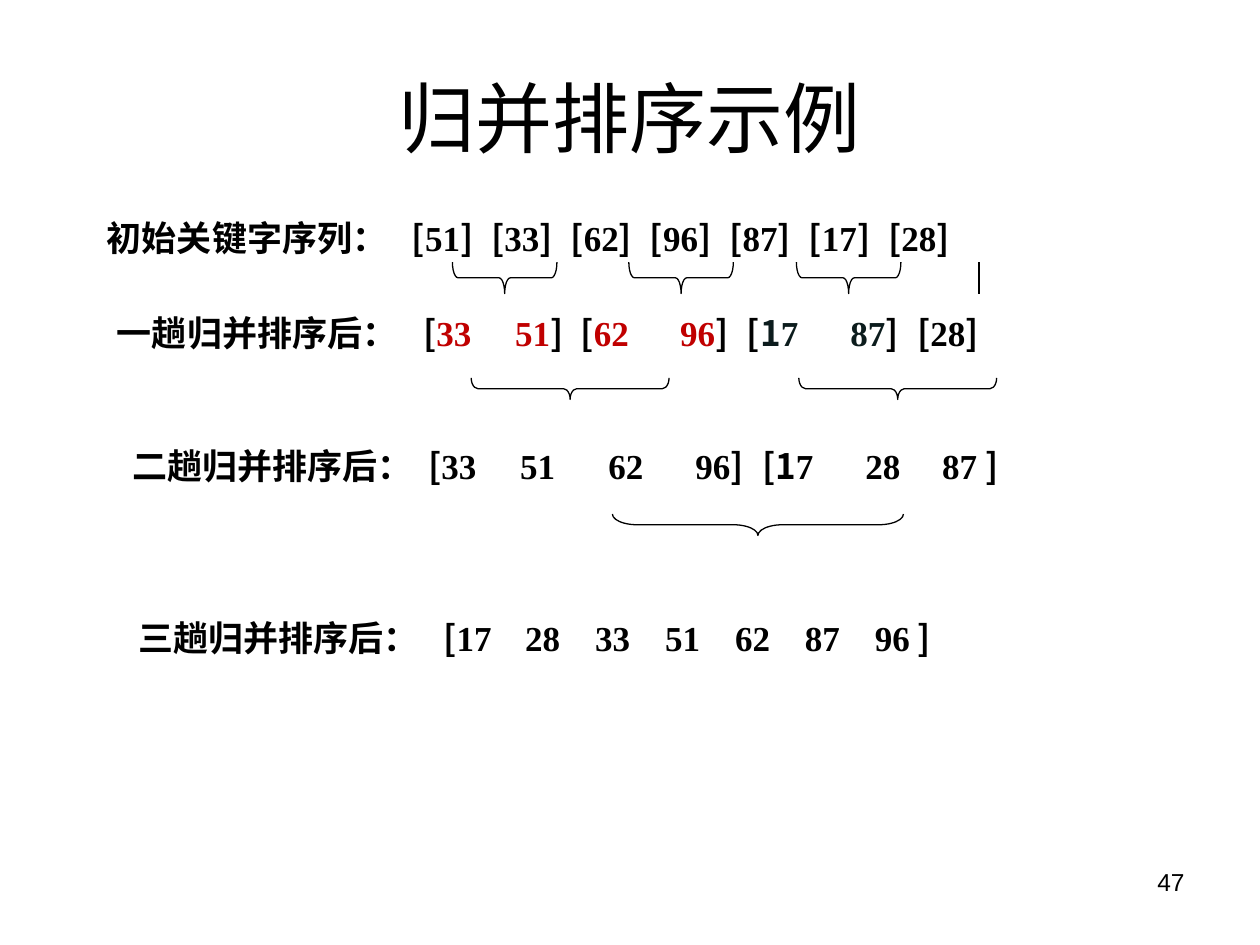
from dataclasses import dataclass
from itertools import groupby

from lxml import etree
from pptx import Presentation
from pptx.dml.color import RGBColor
from pptx.enum.shapes import MSO_CONNECTOR, MSO_SHAPE
from pptx.enum.text import MSO_ANCHOR, PP_ALIGN
from pptx.oxml.ns import qn
from pptx.util import Inches, Pt

BRACE = MSO_SHAPE.RIGHT_BRACE
LINE = MSO_CONNECTOR.STRAIGHT
MIDDLE = MSO_ANCHOR.MIDDLE
CENTER, RIGHT, JUSTIFY = PP_ALIGN.CENTER, PP_ALIGN.RIGHT, PP_ALIGN.JUSTIFY

WIDTH, HEIGHT = Inches(10), Inches(7.5)
CELL = WIDTH / 100  # the slide is a grid of 100 columns and 75 rows


@dataclass(frozen=True)
class Theme:
    black: str = "000000"
    red: str = "C00000"
    dark: str = "0C1C1D"
    sans: str = "Arial"
    cjk: str = "Noto Sans CJK SC"
    serif: str = "Times New Roman"
    title: int = 44
    body: int = 20
    small: int = 14
    stroke: float = 0.75


THEME = Theme()


def grid(*cells):
    return [round(cell * CELL) for cell in cells]


def style(run, size, face=THEME.sans, color=THEME.black, bold=False):
    font = run.font
    font.size, font.name, font.bold = Pt(size), face, bold
    font.color.rgb = RGBColor.from_string(color)
    east = etree.SubElement(run._r.get_or_add_rPr(), qn("a:ea"))
    east.set("typeface", THEME.cjk)


def stroke(shape):
    shape.line.color.rgb = RGBColor.from_string(THEME.black)
    shape.line.width = Pt(THEME.stroke)


def add_title(slide, box, text):
    title = slide.shapes.title
    title.left, title.top, title.width, title.height = grid(*box)
    frame = title.text_frame
    frame.text = text
    frame.vertical_anchor = MIDDLE
    para = frame.paragraphs[0]
    para.alignment = CENTER
    style(para.runs[0], THEME.title)


def add_text(slide, box, text, align, size, bold=False):
    frame = slide.shapes.add_textbox(*grid(*box)).text_frame
    frame.word_wrap = True
    frame.text = text
    para = frame.paragraphs[0]
    para.alignment = align
    style(para.runs[0], size, bold=bold)
    return para


def set_tabs(para, stops):
    tabs = etree.SubElement(para._p.get_or_add_pPr(), qn("a:tabLst"))
    for stop in grid(*stops):
        etree.SubElement(tabs, qn("a:tab"), pos=str(stop), algn="l")


def add_keys(slide, box, label, keys, stops, colors=(), mixed=None):
    """One row of keys at tab stops; in the mixed key, digit 1 has the bracket face."""
    para = add_text(slide, box, label, JUSTIFY, THEME.body, True)
    set_tabs(para, stops)
    colors = colors or [THEME.black] * len(keys)

    def add(text, face, color):
        run = para.add_run()
        run.text = text
        style(run, THEME.body, face, color, True)

    add("：", THEME.cjk, THEME.black)
    for spot, (key, color) in enumerate(zip(keys, colors)):
        for digits, chars in groupby("\t" + key, str.isdigit):
            part = "".join(chars)
            if not digits:
                add(part, THEME.cjk, THEME.black)
                continue
            if spot == mixed:
                add(part[0], THEME.cjk, color)
                part = part[1:]
            add(part, THEME.serif, color)


def add_brace(slide, box, bend):
    """Fill a wide box with a brace that points down."""
    left, top, span, depth = box
    turned = (left + (span - depth) / 2, top - (span - depth) / 2, depth, span)
    brace = slide.shapes.add_shape(BRACE, *grid(*turned))
    brace.rotation = 90
    brace.adjustments[0] = bend
    brace.shadow.inherit = False
    brace.fill.background()
    stroke(brace)


def add_merges(slide, box, starts, span, bend):
    """Braces of one span at the given columns of the box."""
    left, top, _, depth = box
    for start in starts:
        add_brace(slide, (left + start, top, span, depth), bend)


def add_rest(slide, box):
    """Upright line for the key that has no partner."""
    left, top, _, depth = box
    rest = slide.shapes.add_connector(LINE, *grid(left, top, left, top + depth))
    etree.SubElement(rest._element.spPr, qn("a:effectLst"))
    stroke(rest)


def main():
    deck = Presentation()
    deck.slide_width, deck.slide_height = WIDTH, HEIGHT
    slide = deck.slides.add_slide(deck.slide_layouts[5])

    add_title(slide, (5, 3, 90, 12.5), "归并排序示例")

    add_merges(slide, (35.9, 20.8, 41.8, 2.5), (0, 14, 27.3), 8.3, 0.18)
    add_rest(slide, (77.7, 20.8, 0, 2.5))
    add_merges(slide, (37.4, 30, 41.7, 1.7), (0, 26), 15.7, 0.31)
    add_merges(slide, (48.6, 40.8, 23.1, 1.7), (0,), 23.1, 1.15)

    add_keys(slide, (7.5, 16.7, 84.2, 4.3), "初始关键字序列",
             ["[51]", "[33]", "[62]", "[96]", "[87]", "[17]", "[28]"],
             [24.2 + 6.3 * spot for spot in range(7)])
    add_keys(slide, (8.3, 24.2, 89.2, 4.3), "一趟归并排序后",
             ["[33", "51]", "[62", "96]", "[17", "87]", "[28]"],
             [24.3, 31.6, 36.8, 44.7, 50, 58.2, 63.5],
             [THEME.red] * 4 + [THEME.dark] * 2 + [THEME.black], 4)
    add_keys(slide, (9.5, 34.8, 86.4, 4.3), "二趟归并排序后",
             ["[33", "51", "62", "96]", "[17", "28", "87 ]"],
             [23.5, 30.8, 37.8, 44.7, 50, 58.2, 64.3], mixed=4)
    add_keys(slide, (10, 48.4, 77.5, 4.3), "三趟归并排序后",
             ["[17", "28", "33", "51", "62", "87", "96 ]"],
             [24.2] + [30.7 + 5.55 * spot for spot in range(6)])

    add_text(slide, (71.7, 68.3, 23.3, 5.2), "47", RIGHT, THEME.small)
    deck.save("out.pptx")


if __name__ == "__main__":
    main()
